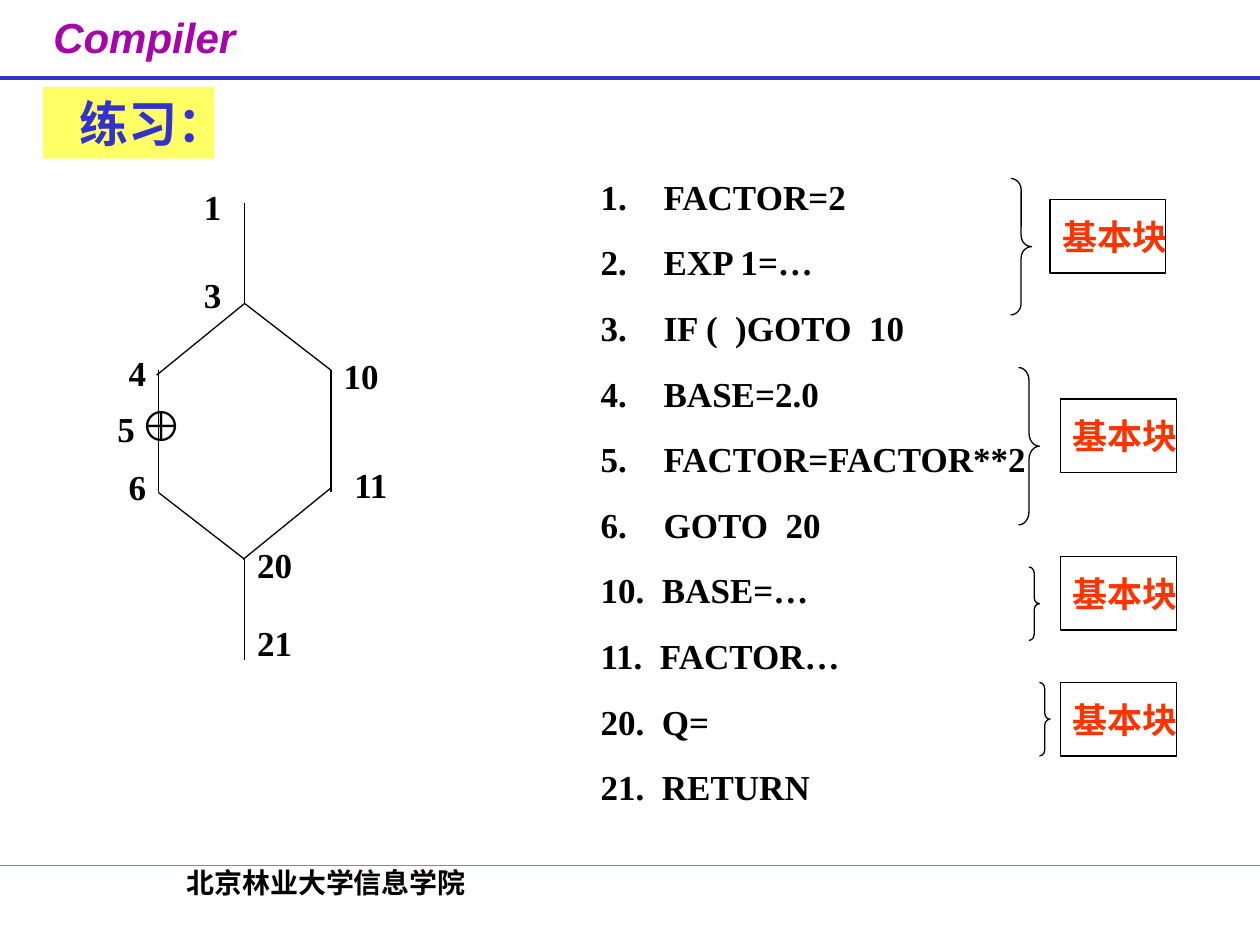
import pptx
import pptx.dml.color
import pptx.enum.shapes
import pptx.enum.text
import pptx.oxml
import pptx.oxml.ns
import pptx.util

Pt = pptx.util.Pt
Shape = pptx.enum.shapes.MSO_SHAPE
Align = pptx.enum.text.PP_ALIGN
Anchor = pptx.enum.text.MSO_ANCHOR
qn = pptx.oxml.ns.qn

HUES = {
    "black": "000000",
    "blue": "3333CC",
    "green": "00CC99",
    "purple": "A603AB",
    "red": "FF3300",
    "yellow": "FFFF66",
}


def hue(name):
    return pptx.dml.color.RGBColor.from_string(HUES[name])


def write(para, text, size=20, color="black", font="Times New Roman",
          italic=False, align=Align.LEFT, before=0):
    para.text = text
    para.alignment = align
    para.space_before = Pt(before)
    style = para.runs[0].font
    style.name, style.size = font, Pt(size)
    style.bold, style.italic = True, italic
    style.color.rgb = hue(color)


class Deck:
    thin = 0.75

    def __init__(self):
        self.file = pptx.Presentation()
        self.file.slide_width, self.file.slide_height = Pt(720), Pt(540)
        self.slide = self.file.slides.add_slide(self.file.slide_layouts[1])
        self.shapes = self.slide.shapes

    def place(self, shape, left, top, width, height):
        shape.left, shape.top = Pt(left), Pt(top)
        shape.width, shape.height = Pt(width), Pt(height)

    def frame(self, shape, wrap=True, anchor=Anchor.TOP):
        body = shape.text_frame
        body.auto_size = pptx.enum.text.MSO_AUTO_SIZE.NONE
        body.word_wrap = wrap
        body.vertical_anchor = anchor
        return body

    def title(self, text, box, **style):
        shape = self.shapes.title
        self.place(shape, *box)
        shape.fill.solid()
        shape.fill.fore_color.rgb = hue("yellow")
        write(self.frame(shape, wrap=False).paragraphs[0], text, **style)

    def list(self, auto, plain, box, gap):
        shape = self.slide.placeholders[1]
        self.place(shape, *box)
        body = self.frame(shape)
        for i, text in enumerate(auto + plain):
            para = body.add_paragraph() if i else body.paragraphs[0]
            props = para._p.get_or_add_pPr()
            props.set("marL", str(Pt(36)))
            props.set("indent", str(Pt(-36)))
            if i < len(auto):
                mark = pptx.oxml.parse_xml(
                    f'<a:buAutoNum {pptx.oxml.ns.nsdecls("a")} type="arabicPeriod"/>')
            else:
                mark = pptx.oxml.parse_xml(
                    f'<a:buNone {pptx.oxml.ns.nsdecls("a")}/>')
            props.append(mark)
            write(para, text, before=gap if i else 0)

    def label(self, text, box, wrap=True, **style):
        shape = self.shapes.add_textbox(*map(Pt, box))
        write(self.frame(shape, wrap).paragraphs[0], text, **style)

    def line(self, start, end, color="black", width=thin):
        line = self.shapes.add_connector(
            pptx.enum.shapes.MSO_CONNECTOR.STRAIGHT, *map(Pt, start + end))
        line.line.color.rgb = hue(color)
        line.line.width = Pt(width)
        line._element.spPr.append(
            line._element.makeelement(qn("a:effectLst"), {}))

    def shape(self, kind, box):
        shape = self.shapes.add_shape(kind, *map(Pt, box))
        shape.shadow.inherit = False
        shape.fill.background()
        shape.line.color.rgb = hue("black")
        shape.line.width = Pt(self.thin)
        return shape

    def brace(self, left, top, width, height):
        shape = self.shape(Shape.RIGHT_BRACE, (left, top, width, height))
        shape.adjustments[0] = height / width / 12

    def block(self, left, top):
        shape = self.shape(Shape.RECTANGLE, (left, top, 66.2, 42))
        body = self.frame(shape, wrap=False, anchor=Anchor.MIDDLE)
        write(body.paragraphs[0], "基本块", color="red")


def main():
    deck = Deck()

    # Header and footer
    deck.label("Compiler", (13.7, 2.9, 137.5, 44.6), wrap=False, size=24,
               color="purple", font="Arial", italic=True, align=Align.CENTER)
    deck.line((0, 44.6), (720, 44.6), "blue", 2.25)
    deck.line((0, 494.6), (720, 494.6), "green")
    deck.label("北京林业大学信息学院", (37.4, 491, 298, 36), size=16,
               align=Align.CENTER)

    # Title
    deck.title("练习：", (24.5, 49.7, 98, 41), size=28, color="blue",
               align=Align.CENTER)

    # Edges of the flow graph
    mid, west, east = 139.8, 90.5, 189.2
    fork, high, low, join = 173.4, 211.6, 281.4, 319.6
    for start, end in [
        ((mid, 116), (mid, fork)),
        ((mid, fork), (89.5, 214.4)),
        ((mid, fork), (east, high)),
        ((west, high), (west, low)),
        ((east, high), (east, low)),
        ((east, 278.8), (139, join)),
        ((west, low), (mid, join)),
        ((mid, join), (mid, 377)),
    ]:
        deck.line(start, end)

    # Node numbers
    for text, left, top in [
        ("1", 109.4, 102.5), ("3", 109.4, 153), ("4", 66.4, 197.5),
        ("5", 60, 229.5), ("6", 66.4, 262.5), ("20", mid, 307),
        ("10", east, 198.8), ("11", 195.4, 261.4), ("21", mid, 351.6),
    ]:
        deck.label(text, (left, top, 37, 31.7))
    deck.label("⊕", (75, 224.8, 34.6, 36), wrap=False, size=24,
               align=Align.CENTER)

    # Code listing
    deck.list(
        ["FACTOR=2", "EXP 1=…", "IF (  )GOTO  10", "BASE=2.0",
         "FACTOR=FACTOR**2", "GOTO  20"],
        ["10.  BASE=…", "11.  FACTOR…", "20.  Q=", "21.  RETURN"],
        (336, 96.5, 336, 396.7), gap=13.5)

    # Basic blocks
    for brace, block in [
        ((577.5, 102, 12, 78), (600, 114)),
        ((582, 210, 12, 90), (606, 228)),
        ((588, 324, 6, 42), (606, 318)),
        ((594, 390, 6, 42), (606, 390)),
    ]:
        deck.brace(*brace)
        deck.block(*block)

    deck.file.save("out.pptx")


if __name__ == "__main__":
    main()
